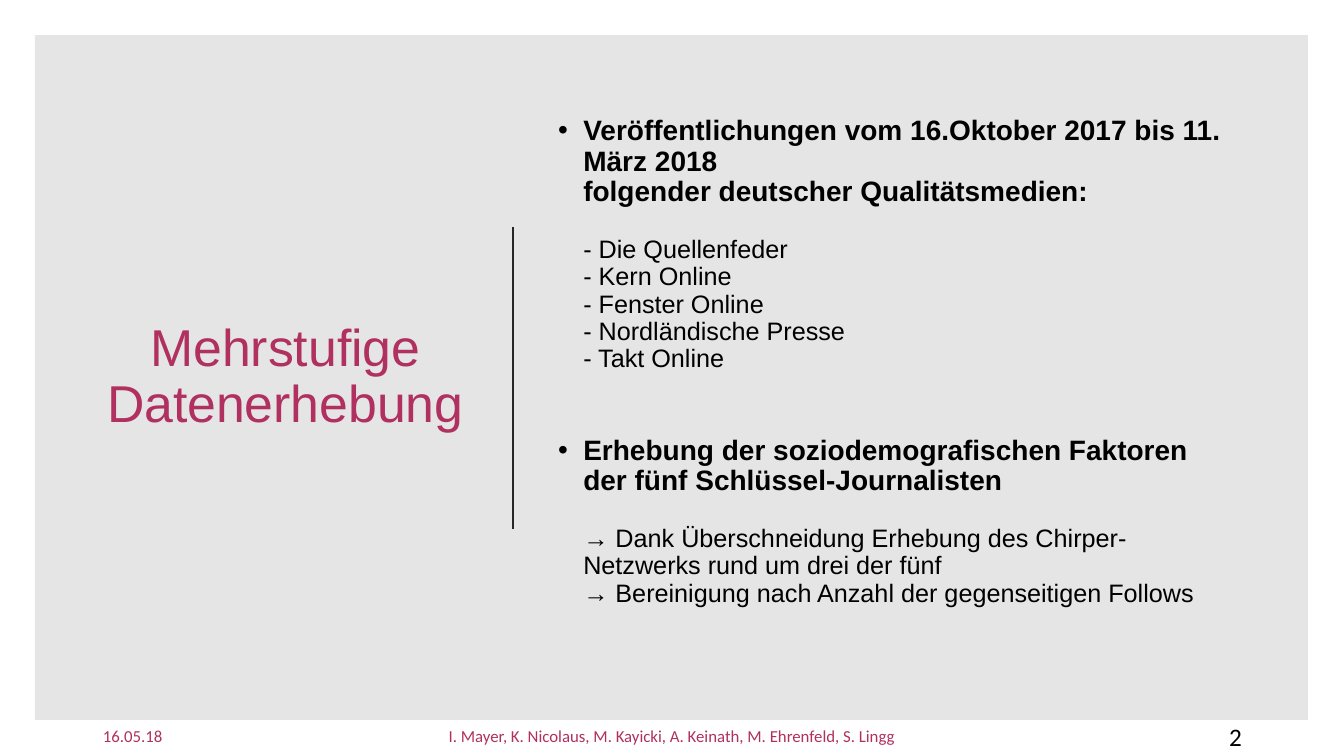
import pptx
import pptx.dml.color
import pptx.enum.shapes
import pptx.enum.text
import pptx.oxml.ns
import pptx.util
import lxml.etree
from collections import namedtuple
from dataclasses import dataclass

ALIGN = pptx.enum.text.PP_ALIGN
ANCHOR = pptx.enum.text.MSO_ANCHOR
PIXELS_PER_INCH = 100.8

Box = namedtuple("Box", "left top width height")


@dataclass(frozen=True)
class Theme:
    accent: str = "B03060"
    ink: str = "000000"
    rule: str = "262626"
    text_font: str = "Arial"
    footer_font: str = "Calibri"
    title_size: int = 37
    heading_size: int = 20
    body_size: int = 18
    footer_size: int = 12
    line_spacing: float = 0.9


THEME = Theme()

SECTIONS = [
    (
        ANCHOR.BOTTOM,
        [
            "Veröffentlichungen vom 16.Oktober 2017 bis 11. März 2018",
            "folgender deutscher Qualitätsmedien:",
        ],
        [
            "- Die Quellenfeder",
            "- Kern Online",
            "- Fenster Online",
            "- Nordländische Presse",
            "- Takt Online",
        ],
    ),
    (
        ANCHOR.TOP,
        ["Erhebung der soziodemografischen Faktoren der fünf Schlüssel-Journalisten"],
        [
            "→ Dank Überschneidung Erhebung des Chirper-Netzwerks rund um drei der fünf",
            "→ Bereinigung nach Anzahl der gegenseitigen Follows",
        ],
    ),
]


def px(length):
    return pptx.util.Inches(length / PIXELS_PER_INCH)


def rgb(color):
    return pptx.dml.color.RGBColor.from_string(color)


def add_element(parent, tag, **attributes):
    return lxml.etree.SubElement(parent, pptx.oxml.ns.qn(tag), attributes)


def place(shape, box):
    shape.left, shape.top, shape.width, shape.height = map(px, box)


def prepare_frame(shape, anchor):
    frame = shape.text_frame
    frame.word_wrap = True
    frame.auto_size = pptx.enum.text.MSO_AUTO_SIZE.NONE
    frame.vertical_anchor = anchor
    return frame


def write(paragraph, text, *, size, font=THEME.text_font, color=THEME.ink, bold=False,
          align=ALIGN.LEFT, spacing=1.0, before=0):
    paragraph.alignment = align
    paragraph.line_spacing = spacing
    paragraph.space_before = pptx.util.Pt(before)
    paragraph.space_after = pptx.util.Pt(0)
    run = paragraph.add_run()
    run.text = text
    run.font.name = font
    run.font.size = pptx.util.Pt(size)
    run.font.bold = bold
    run.font.color.rgb = rgb(color)


def set_bullet(paragraph, character):
    properties = paragraph._p.get_or_add_pPr()
    indent = pptx.util.Inches(0.25)
    properties.set("marL", str(indent))
    properties.set("indent", str(-indent if character else 0))
    if character:
        add_element(properties, "a:buFont", typeface=THEME.text_font)
        add_element(properties, "a:buChar", char=character)
    else:
        add_element(properties, "a:buNone")


def add_panel(slide, box):
    panel = slide.shapes.add_shape(pptx.enum.shapes.MSO_SHAPE.RECTANGLE, *map(px, box))
    panel.shadow.inherit = False
    panel.fill.solid()
    panel.fill.fore_color.rgb = rgb(THEME.ink)
    color = panel._element.spPr.find(".//" + pptx.oxml.ns.qn("a:srgbClr"))
    add_element(color, "a:alpha", val="10000")
    panel.line.fill.background()

    center = box.left + 478
    line = slide.shapes.add_connector(
        pptx.enum.shapes.MSO_CONNECTOR.STRAIGHT,
        px(center), px(box.top + 192), px(center), px(box.top + 494),
    )
    line.line.color.rgb = rgb(THEME.rule)
    line.line.width = pptx.util.Pt(1.5)
    add_element(line._element.spPr, "a:effectLst")


def fill_title(title, box):
    place(title, box)
    frame = prepare_frame(title, ANCHOR.MIDDLE)
    write(frame.paragraphs[0], "Mehrstufige Datenerhebung", size=THEME.title_size,
          color=THEME.accent, align=ALIGN.CENTER, spacing=THEME.line_spacing)


def fill_section(body, box, anchor, headings, details):
    place(body, box)
    frame = prepare_frame(body, anchor)
    for index, text in enumerate(headings + details):
        paragraph = frame.paragraphs[0] if index == 0 else frame.add_paragraph()
        is_heading = index < len(headings)
        write(paragraph, text, bold=is_heading,
              size=THEME.heading_size if is_heading else THEME.body_size,
              spacing=THEME.line_spacing,
              before=21 if index == len(headings) else 0)
        set_bullet(paragraph, "•" if index == 0 else None)


def add_footer(slide, box):
    side, middle = 302, 488
    entries = [
        (0, side, "16.05.18", ALIGN.LEFT, THEME.footer_size, THEME.accent),
        ((box.width - middle) // 2, middle,
         "I. Mayer, K. Nicolaus, M. Kayicki, A. Keinath, M. Ehrenfeld, S. Lingg",
         ALIGN.CENTER, THEME.footer_size, THEME.accent),
        (box.width - side, side, "2", ALIGN.RIGHT, THEME.body_size, THEME.ink),
    ]
    for offset, width, text, align, size, color in entries:
        area = Box(box.left + offset, box.top, width, box.height)
        textbox = slide.shapes.add_textbox(*map(px, area))
        frame = prepare_frame(textbox, ANCHOR.MIDDLE)
        write(frame.paragraphs[0], text, size=size, color=color, align=align,
              font=THEME.footer_font)


def build_collection_slide(presentation, box):
    slide = presentation.slides.add_slide(presentation.slide_layouts.get_by_name("Two Content"))
    title, *bodies = slide.placeholders
    margin = 35
    add_panel(slide, Box(box.left + margin, box.top + margin, box.width - 2 * margin - 1, 685))
    fill_title(title, Box(box.left + 93, box.top + 106, 385, 543))
    for body, top, section in zip(bodies, (124, 431), SECTIONS):
        fill_section(body, Box(box.left + 548, box.top + top, 689, 254), *section)
    add_footer(slide, Box(box.left + 93, box.top + 716, box.width - 185, 40))

    shape_tree = slide.shapes._spTree
    for placeholder in (title, *bodies):
        shape_tree.append(placeholder._element)


def main():
    presentation = pptx.Presentation()
    page = Box(0, 0, 1344, 756)
    presentation.slide_width = px(page.width)
    presentation.slide_height = px(page.height)
    build_collection_slide(presentation, page)
    presentation.save("out.pptx")


if __name__ == "__main__":
    main()
